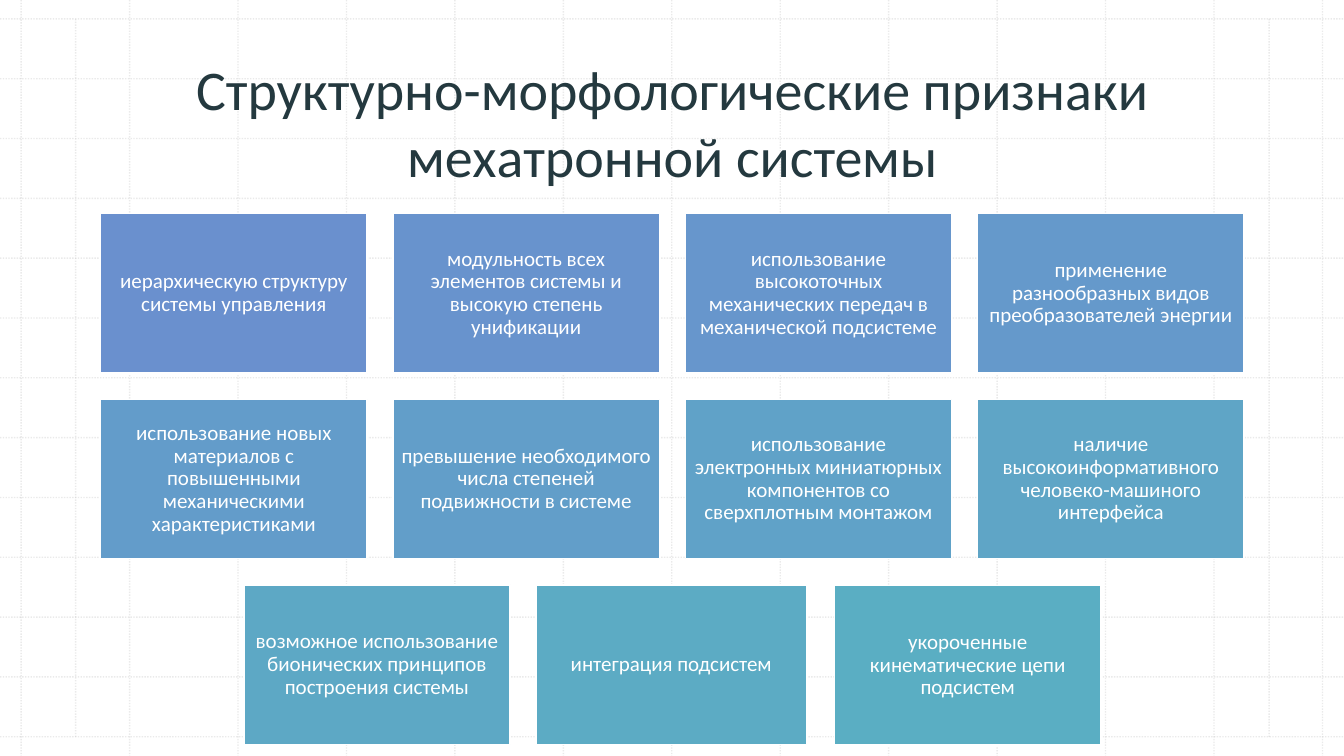
from lxml.etree import SubElement
from pptx import Presentation
from pptx.dml.color import RGBColor
from pptx.enum.dml import MSO_LINE
from pptx.enum.shapes import MSO_CONNECTOR, MSO_SHAPE
from pptx.enum.text import MSO_ANCHOR, PP_ALIGN
from pptx.oxml.ns import qn
from pptx.util import Pt

# Content
TITLE = "Структурно-морфологические признаки мехатронной системы"
FEATURES = [
    ("иерархическую структуру системы управления", "6A90CE"),
    ("модульность всех элементов системы и высокую степень унификации", "6893CD"),
    ("использование высокоточных механических передач в механической подсистеме", "6796CC"),
    ("применение разнообразных видов преобразователей энергии", "6599CB"),
    ("использование новых материалов с повышенными механическими характеристиками", "639CCA"),
    ("превышение необходимого числа степеней подвижности в системе", "629EC9"),
    ("использование электронных миниатюрных компонентов со сверхплотным монтажом", "60A2C8"),
    ("наличие высокоинформативного человеко-машиного интерфейса", "5FA5C6"),
    ("возможное использование бионических принципов построения системы", "5DA8C5"),
    ("интеграция подсистем", "5CABC4"),
    ("укороченные кинематические цепи подсистем", "5AAEC3"),
]

# Formats and measures, in points
SLIDE_WIDTH, SLIDE_HEIGHT = 960, 540
TITLE_FORMAT = {"name": "Calibri", "size": Pt(40), "color": "24393F"}
FEATURE_FORMAT = {"name": "Calibri", "size": Pt(15), "color": "FFFFFF"}
COLUMNS = 4
BOX_LEFT, BOX_TOP, BOX_WIDTH, BOX_HEIGHT = 72, 152.7, 190.2, 113.9
COLUMN_STEP, ROW_STEP = 208.8, 132.6
LAST_ROW = [(174.2, 417.8, BOX_WIDTH), (383, 417.8, 193), (596.2, 418.4, BOX_WIDTH)]
GRID_LEFT, GRID_TOP, GRID_STEP_X, GRID_STEP_Y = 15.1, 13.5, 77.46, 42.73
GRID_COUNT = 13
GRID_BOTTOM = GRID_TOP + (GRID_COUNT - 1) * GRID_STEP_Y
MARGIN_LINES = [54, 906.5]


def color(value):
    return RGBColor.from_string(value)


def add_grid_line(slide, x1, y1, x2, y2):
    connector = slide.shapes.add_connector(
        MSO_CONNECTOR.STRAIGHT, Pt(x1), Pt(y1), Pt(x2), Pt(y2))
    line = connector.line
    line.color.rgb = color("BCBCBC")
    line.width = Pt(1)
    line.dash_style = MSO_LINE.ROUND_DOT
    properties = connector._element.spPr
    tint = next(properties.iter(qn("a:srgbClr")))
    SubElement(tint, qn("a:alpha"), val="30000")
    SubElement(properties, qn("a:effectLst"))


def write_text(shape, text, text_format, anchor, line_spacing, insets):
    frame = shape.text_frame
    frame.word_wrap = True
    frame.vertical_anchor = anchor
    for side, inset in zip(("left", "top", "right", "bottom"), insets):
        setattr(frame, f"margin_{side}", Pt(inset))
    paragraph = frame.paragraphs[0]
    paragraph.alignment = PP_ALIGN.CENTER
    paragraph.line_spacing = line_spacing
    run = paragraph.add_run()
    run.text = text
    for name, value in text_format.items():
        if name == "color":
            run.font.color.rgb = color(value)
        else:
            setattr(run.font, name, value)


def add_feature(slide, place, text, fill):
    left, top, width = place
    shape = slide.shapes.add_shape(
        MSO_SHAPE.RECTANGLE, Pt(left), Pt(top), Pt(width), Pt(BOX_HEIGHT))
    shape.shadow.inherit = False
    shape.fill.solid()
    shape.fill.fore_color.rgb = color(fill)
    shape.line.color.rgb = color("FFFFFF")
    shape.line.width = Pt(1)
    write_text(shape, text, FEATURE_FORMAT, MSO_ANCHOR.MIDDLE, 0.9, [4.5] * 4)


def main():
    presentation = Presentation()
    presentation.slide_width = Pt(SLIDE_WIDTH)
    presentation.slide_height = Pt(SLIDE_HEIGHT)
    slide = presentation.slides.add_slide(presentation.slide_layouts[6])

    # Background grid
    for index in range(GRID_COUNT):
        x = GRID_LEFT + index * GRID_STEP_X
        y = GRID_TOP + index * GRID_STEP_Y
        add_grid_line(slide, x, 0, x, SLIDE_HEIGHT)
        add_grid_line(slide, 0, y, SLIDE_WIDTH, y)
    for x in MARGIN_LINES:
        add_grid_line(slide, x, GRID_TOP, x, GRID_BOTTOM)

    # Feature boxes: two full rows, then the shorter last row
    places = [(BOX_LEFT + column * COLUMN_STEP, BOX_TOP + row * ROW_STEP, BOX_WIDTH)
              for row in range(2) for column in range(COLUMNS)] + LAST_ROW
    for place, (text, fill) in zip(places, FEATURES):
        add_feature(slide, place, text, fill)

    # Title
    title = slide.shapes.add_textbox(Pt(41), Pt(33.8), Pt(878.4), Pt(104.4))
    write_text(title, TITLE, TITLE_FORMAT, MSO_ANCHOR.BOTTOM, 1.0, (7.2, 3.6, 7.2, 3.6))

    presentation.save("out.pptx")


if __name__ == "__main__":
    main()
